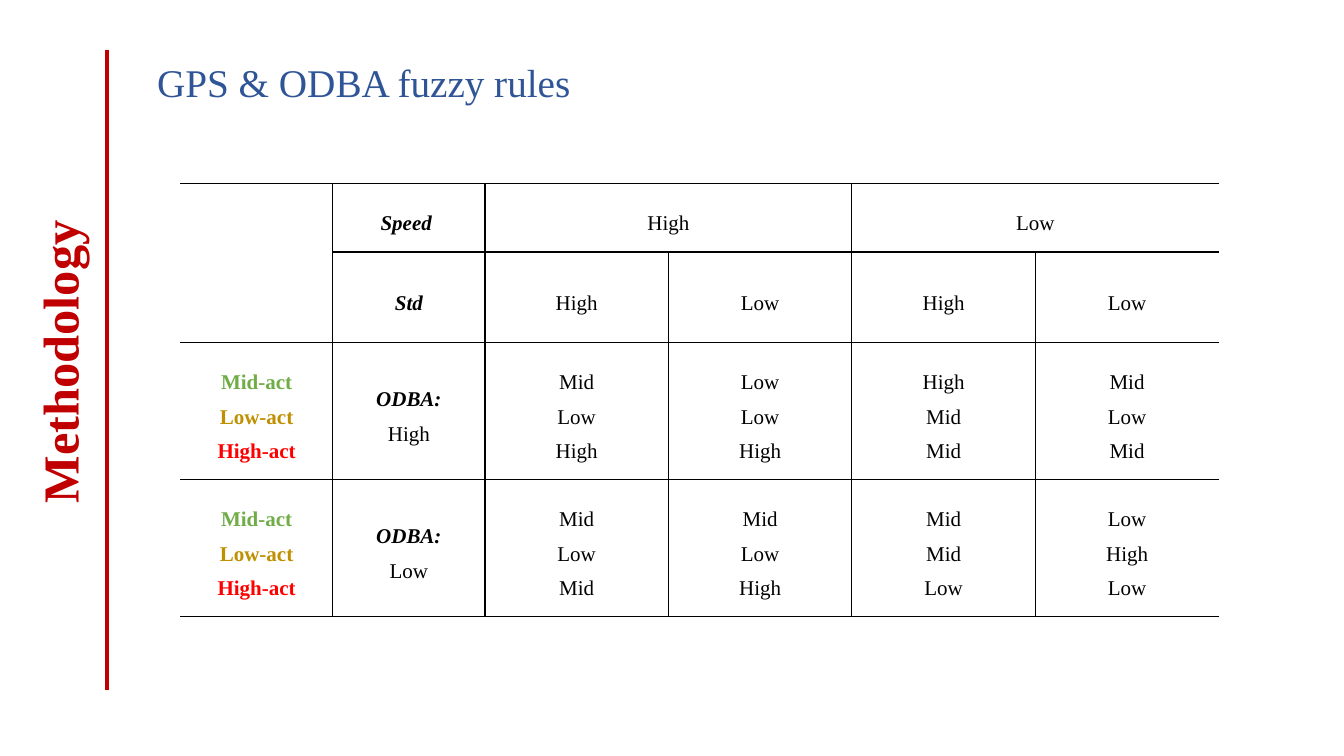
import dataclasses

import lxml.etree
import pptx
import pptx.dml.color
import pptx.enum.shapes
import pptx.enum.text
import pptx.oxml.ns
import pptx.util

PX = 9144  # 100 px to the inch


@dataclasses.dataclass(frozen=True)
class Theme:
    font: str = "Times New Roman"
    accent: str = "C00000"
    title: str = "2F5597"
    ink: str = "000000"
    mid: str = "70AD47"
    low: str = "BF9000"
    high: str = "FF0000"
    section_size: int = 36
    title_size: int = 28
    table_size: int = 15
    rule_width: int = 3
    border_width: int = 1


THEME = Theme()
COLUMNS = [151, 151, 182, 182, 182, 182]
ROWS = [68, 90, 136, 136]
MERGES = [((0, 0), (1, 0)), ((0, 2), (0, 3)), ((0, 4), (0, 5))]
LABEL = {"bold": True, "italic": True}
ACTIVITIES = [
    (name, {"bold": True, "color": color})
    for name, color in [("Mid-act", THEME.mid), ("Low-act", THEME.low), ("High-act", THEME.high)]
]


def plain(words):
    return [(word, {}) for word in words.split()]


def rule_row(odba, *outcomes):
    return [ACTIVITIES, [("ODBA:", LABEL), (odba, {})], *map(plain, outcomes)]


CELLS = [
    [[], [("Speed ", LABEL)], plain("High"), [], plain("Low"), []],
    [[], [("Std", LABEL)], *map(plain, ["High", "Low", "High", "Low"])],
    rule_row("High", "Mid Low High", "Low Low High", "High Mid Mid", "Mid Low Mid"),
    rule_row("Low", "Mid Low Mid", "Mid Low High", "Mid Mid Low", "Low High Low"),
]


def set_attributes(target, values):
    for name, value in values.items():
        setattr(target, name, value)


def rgb(color):
    return pptx.dml.color.RGBColor.from_string(color)


def scaled(*lengths):
    return [pptx.util.Emu(length * PX) for length in lengths]


def write_lines(frame, lines, size, paragraph_format):
    """Write one paragraph for each (text, font format) pair."""
    for index, (text, font_format) in enumerate(lines):
        para = frame.add_paragraph() if index else frame.paragraphs[0]
        set_attributes(para, paragraph_format)
        span = para.add_run()
        span.text = text
        values = {"name": THEME.font, "size": pptx.util.Pt(size), "bold": False, **font_format}
        span.font.color.rgb = rgb(values.pop("color", THEME.ink))
        set_attributes(span.font, values)


def add_label(page, box, text, size, font_format, paragraph_format):
    label = page.shapes.add_textbox(*scaled(*box))
    write_lines(label.text_frame, [(text, font_format)], size, paragraph_format)
    return label


def add_section_bar(page, box):
    """Place the upright section name, with a rule along the right of the box."""
    left, top, width, height = box
    length, depth = 303, 71
    middle = top + height // 2 - 10
    name_box = (left + (depth - length) // 2, middle - depth // 2, length, depth)
    font_format = {"bold": True, "color": THEME.accent}
    name = add_label(page, name_box, "Methodology", THEME.section_size, font_format, {})
    name.rotation = 270
    frame_format = {"word_wrap": False, "auto_size": pptx.enum.text.MSO_AUTO_SIZE.SHAPE_TO_FIT_TEXT}
    set_attributes(name.text_frame, frame_format)

    right = left + width
    rule = page.shapes.add_connector(
        pptx.enum.shapes.MSO_CONNECTOR.STRAIGHT, *scaled(right, top, right, top + height)
    )
    rule.line.color.rgb = rgb(THEME.accent)
    rule.line.width = pptx.util.Pt(THEME.rule_width)
    lxml.etree.SubElement(rule._element.spPr, pptx.oxml.ns.qn("a:effectLst"))


def add_title(page, box):
    font_format = {"color": THEME.title}
    title = add_label(
        page, box, "GPS & ODBA fuzzy rules", THEME.title_size, font_format, {"line_spacing": 1.07}
    )
    title.text_frame.word_wrap = True


def set_borders(cell, hidden):
    """Draw the cell's borders, leaving out the sides named in hidden."""
    properties = cell._tc.get_or_add_tcPr()
    for side in "LRTB":
        line = lxml.etree.SubElement(properties, pptx.oxml.ns.qn(f"a:ln{side}"))
        line.set("w", str(pptx.util.Pt(THEME.border_width)))
        if side in hidden:
            lxml.etree.SubElement(line, pptx.oxml.ns.qn("a:noFill"))
        else:
            fill = lxml.etree.SubElement(line, pptx.oxml.ns.qn("a:solidFill"))
            lxml.etree.SubElement(fill, pptx.oxml.ns.qn("a:srgbClr")).set("val", THEME.ink)


def add_rules_table(page, box):
    table = page.shapes.add_table(len(ROWS), len(COLUMNS), *scaled(*box)).table
    set_attributes(table, {"first_row": False, "horz_banding": False})
    for column, width in zip(table.columns, scaled(*COLUMNS)):
        column.width = width
    for row, height in zip(table.rows, scaled(*ROWS)):
        row.height = height
    for start, end in MERGES:
        table.cell(*start).merge(table.cell(*end))

    side_margin, edge_margin = scaled(8, 0)
    cell_format = {
        "vertical_anchor": pptx.enum.text.MSO_ANCHOR.MIDDLE,
        "margin_left": side_margin,
        "margin_right": side_margin,
        "margin_top": edge_margin,
        "margin_bottom": edge_margin,
    }
    paragraph_format = {"alignment": pptx.enum.text.PP_ALIGN.CENTER, "line_spacing": 1.5}
    for row_index, row in enumerate(CELLS):
        for column_index, lines in enumerate(row):
            cell = table.cell(row_index, column_index)
            set_attributes(cell, cell_format)
            last_column = column_index + (cell.span_width if cell.is_merge_origin else 1)
            at_left, at_right = column_index == 0, last_column == len(COLUMNS)
            set_borders(cell, "L" * at_left + "R" * at_right)
            cell.fill.background()
            write_lines(cell.text_frame, lines, THEME.table_size, paragraph_format)


def main():
    deck = pptx.Presentation()
    deck.slide_width, deck.slide_height = scaled(1333, 750)
    page = deck.slides.add_slide(deck.slide_layouts[6])
    add_section_bar(page, (23, 50, 83, 635))
    add_title(page, (146, 50, 450, 100))
    add_rules_table(page, (179, 182, sum(COLUMNS), sum(ROWS)))
    deck.save("out.pptx")


if __name__ == "__main__":
    main()
